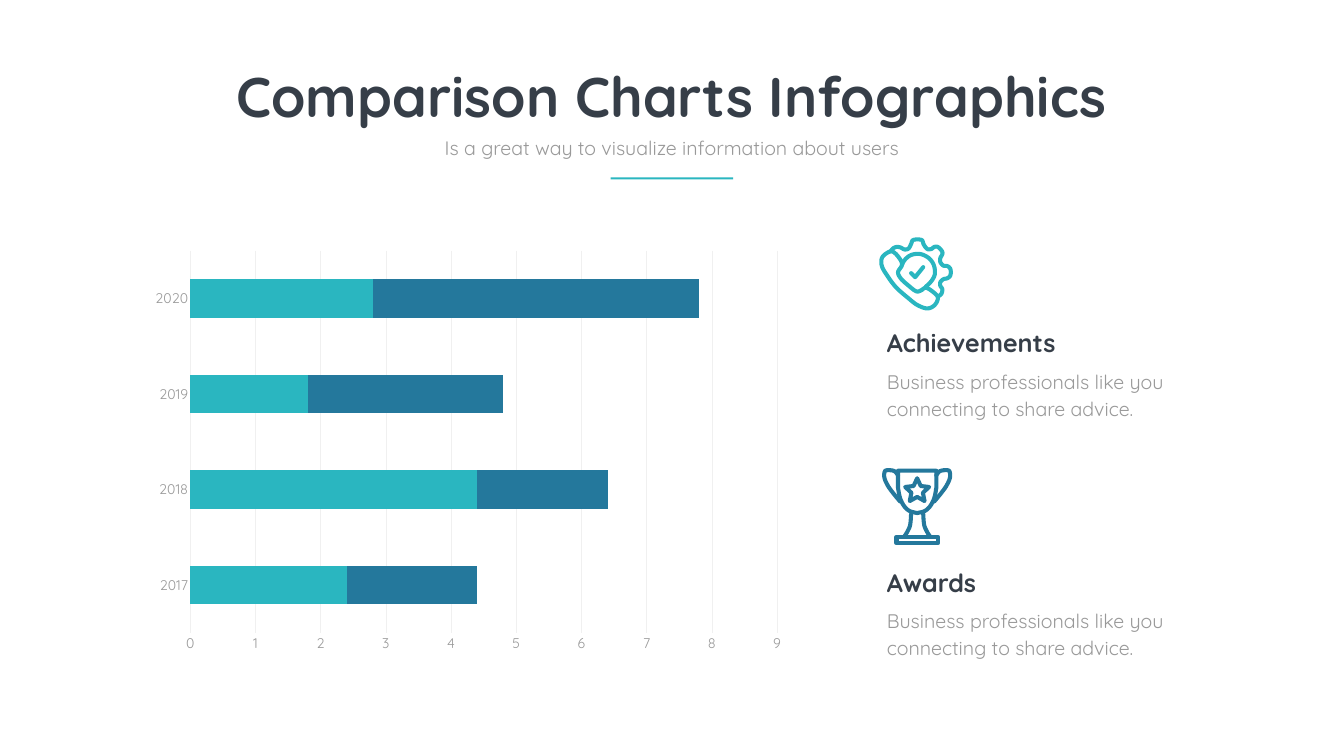
from lxml import etree
from math import cos, pi, sin

from pptx import Presentation
from pptx import util as u
from pptx.chart.data import CategoryChartData
from pptx.dml.color import RGBColor
from pptx.enum import chart as ch, shapes, text
from pptx.oxml import parse_xml
from pptx.oxml.ns import nsdecls, qn

TEAL, BLUE, DARK, GREY, PALE = "2AB6C0", "24789C", "363E48", "999999", "F0F0F0"


def paint(hue):
    """Turn a hex string into a colour."""
    return RGBColor.from_string(hue)


def curve(pts, closed=False, steps=6):
    """Return points of a smooth curve that runs through the given points."""
    ring = [pts[-1], *pts, *pts[:2]] if closed else [pts[0], *pts, pts[-1]]
    out = []
    for a, b, c, d in zip(ring, ring[1:], ring[2:], ring[3:]):
        for t in (i / steps for i in range(steps)):
            out.append(tuple(
                (2 * q + (r - p) * t + (2 * p - 5 * q + 4 * r - s) * t ** 2
                 + (3 * q - p - 3 * r + s) * t ** 3) / 2
                for p, q, r, s in zip(a, b, c, d)))
    return out if closed else out + [pts[-1]]


def flip(pts, mid=75):
    """Mirror points about an upright axis."""
    return [(2 * mid - x, y) for x, y in pts]


class Deck:
    """Hold the style and the current slide; lengths are percents of its size."""

    def __init__(self, wide, high, font):
        """Open a deck with one title slide."""
        self.prs = Presentation()
        self.prs.slide_width, self.prs.slide_height = u.Inches(wide), u.Inches(high)
        self.font = font
        self.slide = self.prs.slides.add_slide(self.prs.slide_layouts[0])

    def area(self, *box):
        """Change percents of the slide into lengths."""
        size = (self.prs.slide_width, self.prs.slide_height) * 2
        return [round(part * full / 100) for part, full in zip(box, size)]

    def fill(self, shape, words, size, hue, bold=False, mid=False, lead=None, wrap=True):
        """Put one formatted paragraph in a shape."""
        frame = shape.text_frame
        frame.word_wrap = wrap
        frame.auto_size = text.MSO_AUTO_SIZE.SHAPE_TO_FIT_TEXT
        frame.vertical_anchor = text.MSO_ANCHOR.TOP
        para = frame.paragraphs[0]
        para.alignment = text.PP_ALIGN.CENTER if mid else text.PP_ALIGN.LEFT
        para.space_before = u.Pt(0)
        if lead:
            para.line_spacing = u.Pt(lead)
        run = para.add_run()
        run.text = words
        self.style(run.font, size, hue, bold)

    def style(self, font, size, hue, bold=False):
        """Set the look of a font."""
        font.name, font.size, font.bold = self.font, u.Pt(size), bold
        font.color.rgb = paint(hue)

    def head(self, spot, box, words, size, hue, **look):
        """Fill and move a placeholder."""
        hold = self.slide.placeholders[spot]
        hold.left, hold.top, hold.width, hold.height = self.area(*box)
        self.fill(hold, words, size, hue, mid=True, **look)

    def label(self, box, words, size, hue, **look):
        """Add a text box."""
        self.fill(self.slide.shapes.add_textbox(*self.area(*box)), words, size, hue, **look)

    def bar(self, box, hue):
        """Add a plain filled bar."""
        bar = self.slide.shapes.add_shape(shapes.MSO_SHAPE.RECTANGLE, *self.area(*box))
        bar.shadow.inherit = False
        bar.fill.solid()
        bar.fill.fore_color.rgb = paint(hue)
        bar.line.fill.background()

    def icon(self, left, top, strokes, hue):
        """Draw strokes of (points, closed), in hundredths of an inch, as one outline."""
        pen = None
        for pts, closed in strokes:
            pts = [(x * 10, y * 10) for x, y in pts]
            if pen is None:
                pen = self.slide.shapes.build_freeform(*pts[0], scale=914.4)
            else:
                pen.move_to(*pts[0])
            pen.add_line_segments(pts[1:], close=closed)
        shape = pen.convert_to_shape(*self.area(left, top))
        shape.shadow.inherit = False
        shape.fill.background()
        shape.line.color.rgb = paint(hue)
        shape.line.width = u.Pt(5.8)
        line = shape.line.fill._xPr
        line.set("cap", "rnd")
        etree.SubElement(line, qn("a:round"))

    def chart(self, box, cats, series, plot):
        """Add a stacked bar chart; series holds (name, values, colour)."""
        data = CategoryChartData()
        data.categories = cats
        for name, vals, _ in series:
            data.add_series(name, vals)
        kind = ch.XL_CHART_TYPE.BAR_STACKED
        chart = self.slide.shapes.add_chart(kind, *self.area(*box), data).chart
        chart.has_legend = chart.has_title = False
        self.style(chart.font, 20, GREY)
        bars = chart.plots[0]
        bars.gap_width, bars.overlap, bars.vary_by_categories = 150, 100, False
        for row, (_, _, hue) in zip(bars.series, series):
            row.format.fill.solid()
            row.format.fill.fore_color.rgb = paint(hue)
        cat, val = chart.category_axis, chart.value_axis
        for axis in (cat, val):
            axis.major_tick_mark = axis.minor_tick_mark = ch.XL_TICK_MARK.NONE
            self.style(axis.tick_labels.font, 20, GREY)
        val.minimum_scale, val.maximum_scale, val.major_unit = 0, 9, 1
        val.has_major_gridlines = True
        val.format.line.fill.background()
        for line in (cat.format.line, val.major_gridlines.format.line):
            line.color.rgb, line.width = paint(PALE), u.Pt(0.75)
        spots = "".join(f'<c:{key} val="{num}"/>' for key, num in zip("xywh", plot))
        area = chart.element.chart.plotArea if hasattr(chart, "element") else chart._chartSpace.chart.plotArea
        for old in area.findall(qn("c:layout")):
            area.remove(old)
        area.insert(0, parse_xml(
            f'<c:layout {nsdecls("c")}><c:manualLayout><c:layoutTarget val="inner"/>'
            f'<c:xMode val="edge"/><c:yMode val="edge"/>{spots}</c:manualLayout></c:layout>'))


def badge():
    """Return the strokes of the gear, handset and tick."""
    gear = [(22, 28), (27, 22), (34, 19), (42, 20), (50, 24), (58, 22), (63, 13), (66, 6),
            (73, 4), (78, 4), (85, 6), (88, 14), (95, 23), (103, 23), (109, 19), (116, 19),
            (124, 27), (125, 33), (121, 41), (121, 49), (127, 56), (135, 57), (141, 63),
            (141, 75), (135, 81), (127, 83), (121, 89), (121, 96), (125, 103), (123, 112),
            (117, 117)]
    phone = [(26, 28), (15, 31), (5, 41), (5, 57), (15, 75), (33, 99), (58, 121), (75, 134),
             (95, 141), (110, 134), (116, 119), (105, 107), (92, 100), (83, 105), (73, 107),
             (57, 95), (43, 82), (37, 69), (45, 54), (38, 39)]
    ring = [(92, 98), (103, 87), (110, 73), (108, 55), (98, 41), (81, 33), (63, 35),
            (51, 44), (45, 54)]
    tick = [(63, 71), (71, 79), (87, 59)]
    return [(curve(gear), False), (curve(phone, True), True), (curve(ring), False), (tick, False)]


def trophy():
    """Return the strokes of the cup, its handles, stem, base and star."""
    bowl = curve([(75, 89), (90, 85), (101, 75), (109, 59), (113, 39)]) + [(113, 5)]
    grip = curve([(113, 14), (120, 6), (131, 4), (139, 6), (140, 19), (133, 35),
                  (123, 49), (109, 66)])
    stem = curve([(87, 91), (89, 113), (95, 127), (101, 136)])
    base = [(34, 136), (116, 136), (116, 149), (34, 149)]
    star = [(75 + r * sin(i * pi / 5), 45 - r * cos(i * pi / 5))
            for i, r in enumerate([25, 12] * 5)]
    sides = [(side, False) for half in (grip, stem) for side in (half, flip(half))]
    return [(bowl + flip(bowl)[::-1], True), *sides, (base, True), (star, True)]


def main():
    """Build the slide."""
    deck = Deck(26.67, 15, "Quicksand")
    deck.chart((10.76, 32.07, 48.52, 55.53), ["2017", "2018", "2019", "2020"],
               [("Series 1", (2.4, 4.4, 1.8, 2.8), TEAL), ("Series 2", (2, 2, 3, 5), BLUE)],
               (0.07, 0.02, 0.9, 0.91))
    note = "Business professionals like you connecting to share advice."
    for row, name in enumerate(["Achievements", "Awards"]):
        top = 43 + 31.67 * row
        deck.label((65.62, top, 17.92, 4.73), name, 36, DARK, bold=True)
        deck.label((65.62, top + 5.13, 23.51, 7.87), note, 28, GREY, lead=38.6)
    deck.icon(65.43, 31.4, badge(), TEAL)
    deck.icon(65.43, 61.93, trophy(), BLUE)
    deck.head(0, (16.76, 7.8, 66.4, 9.67), "Comparison Charts Infographics", 80, DARK,
              bold=True, wrap=False)
    deck.head(1, (32.06, 17.67, 35.85, 3.8),
              "Is a great way to visualize information about users", 28, GREY)
    deck.bar((45.44, 23.47, 9.11, 0.27), TEAL)
    deck.prs.save("out.pptx")


if __name__ == "__main__":
    main()
